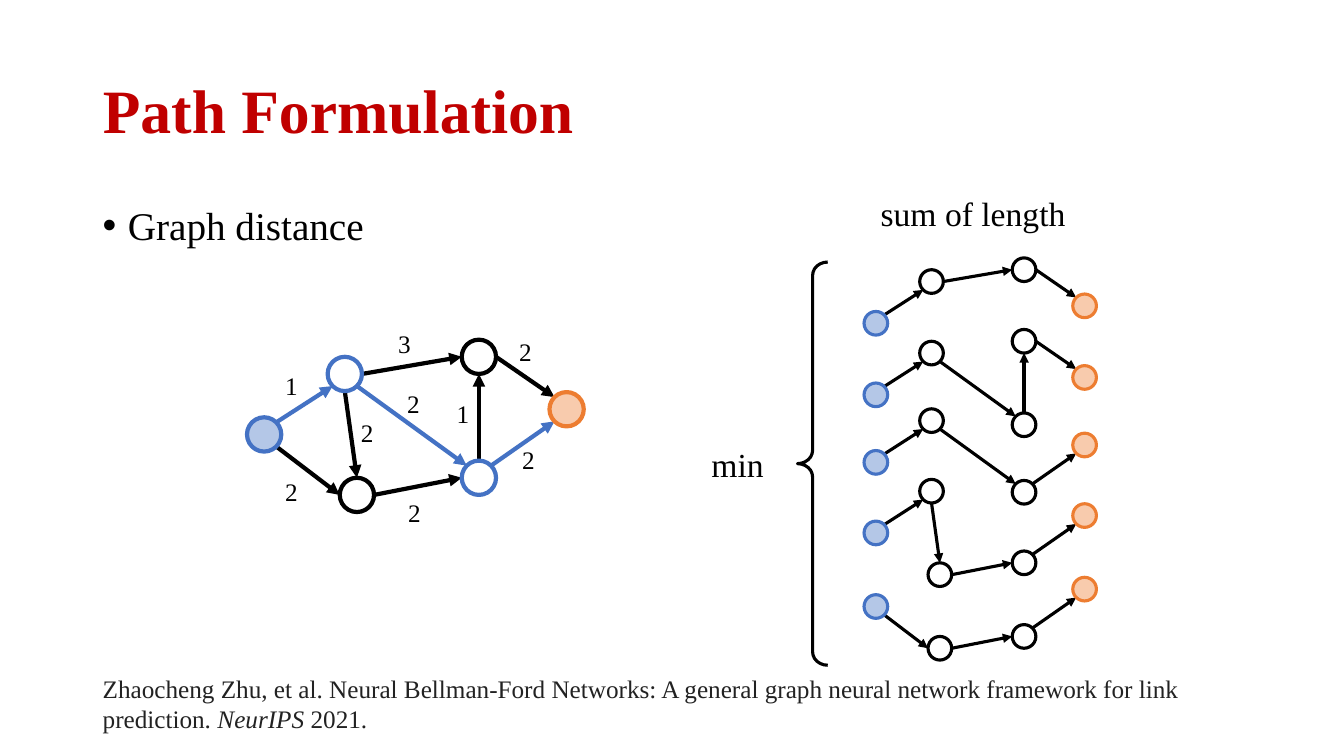
from math import cos, radians, sin

from lxml.etree import SubElement
from pptx import Presentation
from pptx.dml.color import RGBColor
from pptx.enum.shapes import MSO_CONNECTOR, MSO_SHAPE
from pptx.enum.text import MSO_ANCHOR, MSO_AUTO_SIZE, PP_ALIGN
from pptx.oxml.ns import qn
from pptx.util import Inches, Pt

FONT = "Times New Roman"
BLACK, WHITE, BLUE, ORANGE = "000000", "FFFFFF", "4472C4", "ED7D31"
LIGHT_BLUE, LIGHT_ORANGE = "B4C7E7", "F8CBAD"
TITLE_RED, CITATION_GREY = "C00000", "222222"

NODE_SIZE = 0.34
# Top-left corner of each node, relative to the source node.
NODES = {
    "source": (0, 0),
    "upper left": (0.8, -0.6),
    "lower left": (0.92, 0.6),
    "upper right": (2.13, -0.77),
    "lower right": (2.13, 0.43),
    "target": (3, -0.25),
}
FILLS = {"source": LIGHT_BLUE, "target": LIGHT_ORANGE}
OUTLINES = {"source": BLUE, "target": ORANGE}

# Clockwise angle of each point where an edge can touch a node.
ANGLES = {"E": 0, "SE": 45, "S": 90, "SW": 135, "W": 180, "NW": 225, "N": 270, "NE": 315}

# Edge: sides it leaves and enters, length, and place of the length label.
EDGES = {
    ("source", "upper left"): ("NE", "SW", "1", (0.28, -0.52)),
    ("source", "lower left"): ("SE", "W", "2", (0.28, 0.54)),
    ("upper left", "lower left"): ("S", "N", "2", (1.03, -0.05)),
    ("upper left", "upper right"): ("E", "W", "3", (1.4, -0.93)),
    ("upper left", "lower right"): ("SE", "NW", "2", (1.49, -0.34)),
    ("lower left", "lower right"): ("E", "W", "2", (1.5, 0.74)),
    ("lower right", "upper right"): ("N", "S", "1", (1.98, -0.24)),
    ("upper right", "target"): ("E", "NW", "2", (2.6, -0.85)),
    ("lower right", "target"): ("NE", "SW", "2", (2.63, 0.22)),
}
SHORTEST_PATH = ("source", "upper left", "lower right", "target")

# Top of the source node of each path, and the nodes passed on the way.
PATHS = [
    (3.09, ("source", "upper left", "upper right", "target")),
    (3.8, ("source", "upper left", "lower right", "upper right", "target")),
    (4.47, SHORTEST_PATH),
    (5.17, ("source", "upper left", "lower left", "lower right", "target")),
    (5.9, ("source", "lower left", "lower right", "target")),
]


def color(hex_string):
    return RGBColor.from_string(hex_string)


def steps(path):
    return list(zip(path, path[1:]))


def add_run(paragraph, text, size, ink=BLACK, bold=False, italic=False):
    run = paragraph.add_run()
    run.text = text
    font = run.font
    font.name, font.size, font.bold, font.italic = FONT, Pt(size), bold, italic
    font.color.rgb = color(ink)


def add_text(shapes, box, text, size, align=PP_ALIGN.LEFT, **run_format):
    """Add a wrapped text box and return its paragraph."""
    frame = shapes.add_textbox(*map(Inches, box)).text_frame
    frame.word_wrap = True
    frame.auto_size = MSO_AUTO_SIZE.SHAPE_TO_FIT_TEXT
    paragraph = frame.paragraphs[0]
    paragraph.alignment = align
    add_run(paragraph, text, size, **run_format)
    return paragraph


def add_arrow(shapes, start, end, ink, width):
    arrow = shapes.add_connector(MSO_CONNECTOR.STRAIGHT, *map(Inches, start + end))
    arrow.line.color.rgb = color(ink)
    arrow.line.width = Pt(width)
    SubElement(arrow.line._get_or_add_ln(), qn("a:tailEnd"), type="triangle")
    SubElement(arrow._element.spPr, qn("a:effectLst"))


def add_node(shapes, left, top, size, fill, outline, width):
    node = shapes.add_shape(MSO_SHAPE.OVAL, *map(Inches, (left, top, size, size)))
    node.shadow.inherit = False
    node.fill.solid()
    node.fill.fore_color.rgb = color(fill)
    node.line.color.rgb = color(outline)
    node.line.width = Pt(width)


def add_graph(shapes, left, top, edges, scale=1, width=3, highlight=()):
    """Draw the edges and their nodes, with the source node at left, top."""
    size = NODE_SIZE * scale

    def corner(name):
        x, y = NODES[name]
        return left + x * scale, top + y * scale

    def touch_point(name, side):
        x, y = corner(name)
        angle = radians(ANGLES[side])
        return x + size / 2 * (1 + cos(angle)), y + size / 2 * (1 + sin(angle))

    for edge in edges:
        leave, enter = EDGES[edge][:2]
        ink = BLUE if edge in steps(highlight) else BLACK
        add_arrow(shapes, touch_point(edge[0], leave), touch_point(edge[1], enter), ink, width)
    used = {name for edge in edges for name in edge}
    for name in NODES:
        if name in used:
            outline = OUTLINES.get(name, BLUE if name in highlight else BLACK)
            add_node(shapes, *corner(name), size, FILLS.get(name, WHITE), outline, width)


def add_title(slide, box):
    title = slide.shapes.title
    title.left, title.top, title.width, title.height = map(Inches, box)
    frame = title.text_frame
    frame.auto_size = MSO_AUTO_SIZE.NONE
    frame.vertical_anchor = MSO_ANCHOR.MIDDLE
    heading = frame.paragraphs[0]
    heading.alignment = PP_ALIGN.LEFT
    heading.line_spacing = 0.9
    add_run(heading, "Path Formulation", 44, ink=TITLE_RED, bold=True)


def add_bullet(slide, box):
    bullet = add_text(slide.shapes, box, "Graph distance", 28)
    bullet.line_spacing = 0.9
    properties = bullet._p.get_or_add_pPr()
    properties.set("marL", str(Inches(0.25)))
    properties.set("indent", str(-Inches(0.25)))
    SubElement(properties, qn("a:buFont"), typeface="Arial")
    SubElement(properties, qn("a:buChar"), char="•")


def add_weighted_graph(slide, left, top):
    shapes = slide.shapes.add_group_shape().shapes
    add_graph(shapes, left, top, EDGES, highlight=SHORTEST_PATH)
    for _, _, length, (x, y) in EDGES.values():
        add_text(shapes, (left + x, top + y, 0.37, 0.4), length, 18)


def add_path_list(slide, left, top):
    """Draw all paths beside a brace, between the words min and sum of length."""
    shapes = slide.shapes.add_group_shape().shapes
    for source_top, path in PATHS:
        add_graph(shapes, left + 1.76, source_top, steps(path), scale=0.69, width=2.25)
    brace_box = map(Inches, (left + 1.1, top + 0.74, 0.3, 4))
    brace = shapes.add_shape(MSO_SHAPE.LEFT_BRACE, *brace_box)
    brace.shadow.inherit = False
    brace.adjustments[0] = 0.44
    brace.fill.background()
    brace.line.color.rgb = color(BLACK)
    brace.line.width = Pt(2.25)
    add_text(shapes, (left, top + 2.49, 1.01, 0.5), "min", 24, align=PP_ALIGN.CENTER)
    add_text(shapes, (left + 1.73, top, 2.22, 0.5), "sum of length", 24, align=PP_ALIGN.CENTER)


def add_citation(slide, box):
    citation = add_text(
        slide.shapes, box,
        "Zhaocheng Zhu, et al. Neural Bellman-Ford Networks: "
        "A general graph neural network framework for link prediction. ",
        18, ink=CITATION_GREY)
    add_run(citation, "NeurIPS", 18, ink=CITATION_GREY, italic=True)
    add_run(citation, " 2021.", 18, ink=CITATION_GREY)


def main():
    deck = Presentation()
    deck.slide_width, deck.slide_height = Inches(13.33), Inches(7.5)
    slide = deck.slides.add_slide(deck.slide_layouts[5])
    add_title(slide, (0.92, 0.4, 11.5, 1.45))
    add_bullet(slide, (0.92, 2, 5, 0.55))
    add_weighted_graph(slide, 2.45, 4.14)
    add_path_list(slide, 6.81, 1.86)
    add_citation(slide, (0.92, 6.63, 11.88, 0.71))
    deck.save("out.pptx")


if __name__ == "__main__":
    main()
